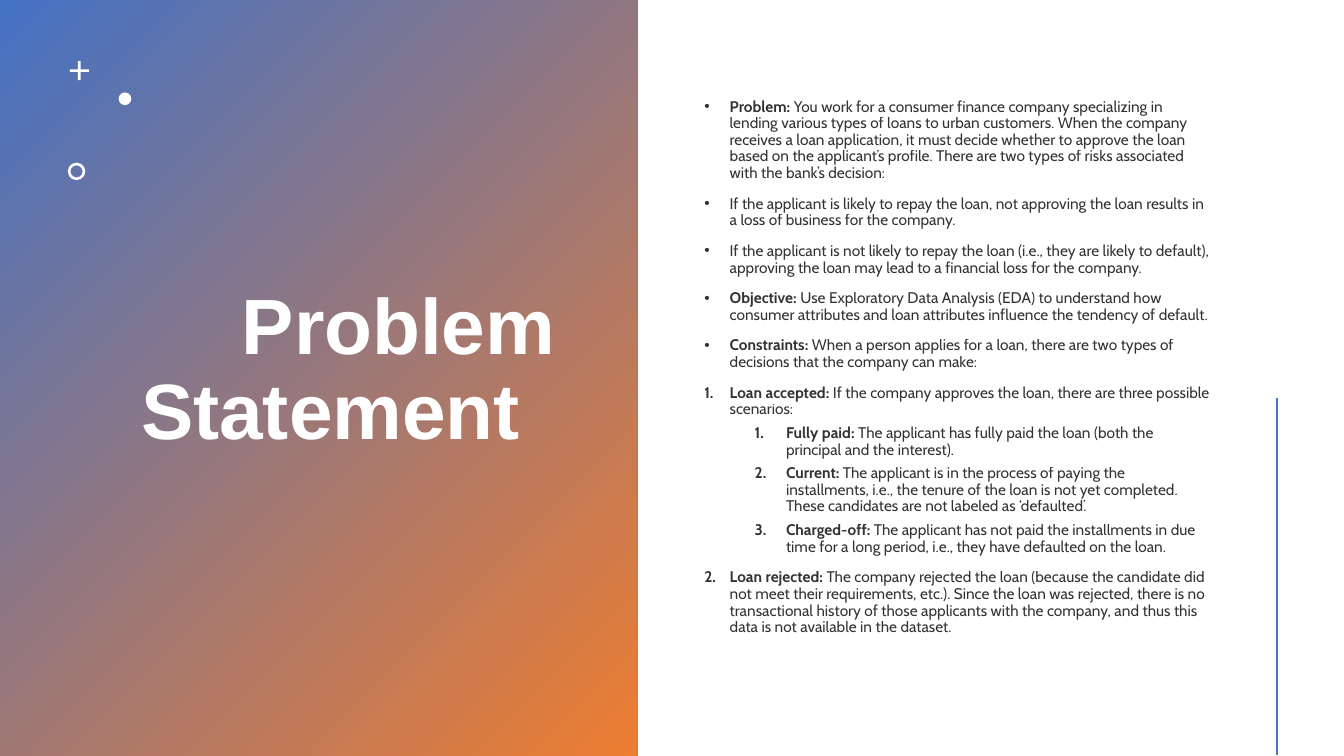
import pptx
import pptx.dml.color
import pptx.enum.shapes
import pptx.enum.text
import pptx.oxml
import pptx.oxml.ns
import pptx.util
from pptx.util import Cm, Pt

SHAPES = pptx.enum.shapes.MSO_SHAPE
NS = pptx.oxml.ns.nsdecls("a")

BLUE, ORANGE, WHITE, BLACK = "4472C4", "ED7D31", "FFFFFF", "000000"

# (kind of paragraph, bold lead, text)
STATEMENT = [
    ("bullet", "Problem:", " You work for a consumer finance company specializing in lending various "
     "types of loans to urban customers. When the company receives a loan application, it must decide "
     "whether to approve the loan based on the applicant’s profile. There are two types of risks "
     "associated with the bank’s decision:"),
    ("bullet", "", "If the applicant is likely to repay the loan, not approving the loan results in "
     "a loss of business for the company."),
    ("bullet", "", "If the applicant is not likely to repay the loan (i.e., they are likely to default), "
     "approving the loan may lead to a financial loss for the company."),
    ("bullet", "Objective:", " Use Exploratory Data Analysis (EDA) to understand how consumer attributes "
     "and loan attributes influence the tendency of default."),
    ("bullet", "Constraints:", " When a person applies for a loan, there are two types of decisions "
     "that the company can make:"),
    ("number", "Loan accepted:", " If the company approves the loan, there are three possible scenarios:"),
    ("subnumber", "Fully paid:", " The applicant has fully paid the loan (both the principal and "
     "the interest)."),
    ("subnumber", "Current:", " The applicant is in the process of paying the installments, i.e., the "
     "tenure of the loan is not yet completed. These candidates are not labeled as ‘defaulted’."),
    ("subnumber", "Charged-off:", " The applicant has not paid the installments in due time for a long "
     "period, i.e., they have defaulted on the loan."),
    ("number", "Loan rejected:", " The company rejected the loan (because the candidate did not meet "
     "their requirements, etc.). Since the loan was rejected, there is no transactional history of those "
     "applicants with the company, and thus this data is not available in the dataset."),
]

BULLET = f'<a:buChar {NS} char="•"/>'
NUMBER = f'<a:buAutoNum {NS} type="arabicPeriod"/>'
# level, left margin (cm), hanging indent (cm), space before (pt), marker
LIST_STYLES = {
    "bullet": (0, 0.64, 0.64, 10, BULLET),
    "number": (0, 0.64, 0.64, 10, NUMBER),
    "subnumber": (1, 2.06, 0.79, 5, NUMBER),
}


def rgb(color):
    return pptx.dml.color.RGBColor.from_string(color)


class Slide:
    title_font, body_font = "Arial", "Cabin"
    title_size, body_size = Pt(56), Pt(11)
    line_spacing = 0.9

    def __init__(self, deck):
        self.slide = deck.slides.add_slide(deck.slide_layouts[5])

    def shape(self, kind, left, top, width, height, color=WHITE):
        shape = self.slide.shapes.add_shape(kind, Cm(left), Cm(top), Cm(width), Cm(height))
        shape.shadow.inherit = False
        shape.fill.solid()
        shape.fill.fore_color.rgb = rgb(color)
        shape.line.fill.background()
        return shape

    def gradient_panel(self, left, top, width, height, colors):
        """Add a diagonal gradient behind everything else."""
        panel = self.shape(SHAPES.RECTANGLE, left, top, width, height)
        panel.fill.gradient()
        panel.fill.gradient_angle = 315
        for stop, color, position in zip(panel.fill.gradient_stops, colors, (0, 1)):
            stop.color.rgb = rgb(color)
            stop.position = position
        self.slide.shapes._spTree.insert(2, panel._element)

    def run(self, paragraph, text, font, size, color, bold):
        run = paragraph.add_run()
        run.text = text
        run.font.name, run.font.size, run.font.bold = font, size, bold
        run.font.color.rgb = rgb(color)
        return run

    def title(self, text, left, top, width, height, first_indent):
        title = self.slide.shapes.title
        title.left, title.top, title.width, title.height = map(Cm, (left, top, width, height))
        frame = title.text_frame
        frame.word_wrap = True
        frame.auto_size = pptx.enum.text.MSO_AUTO_SIZE.NONE
        frame.vertical_anchor = pptx.enum.text.MSO_ANCHOR.MIDDLE
        heading = frame.paragraphs[0]
        heading.alignment = pptx.enum.text.PP_ALIGN.LEFT
        heading.line_spacing = self.line_spacing
        heading._p.get_or_add_pPr().set("indent", str(Cm(first_indent)))
        self.run(heading, text, self.title_font, self.title_size, WHITE, True)

    def outline(self, items, left, top, width, height, bottom_margin):
        """Add a bulleted and numbered list, centred vertically above bottom_margin."""
        box = self.slide.shapes.add_textbox(Cm(left), Cm(top), Cm(width), Cm(height))
        frame = box.text_frame
        frame.word_wrap = True
        frame.vertical_anchor = pptx.enum.text.MSO_ANCHOR.MIDDLE
        frame.margin_bottom = Cm(bottom_margin)
        for index, (kind, lead, text) in enumerate(items):
            item = frame.add_paragraph() if index else frame.paragraphs[0]
            level, margin, hanging, space, marker = LIST_STYLES[kind]
            item.level = level
            item.line_spacing = self.line_spacing
            item.space_before = Pt(space)
            properties = item._p.get_or_add_pPr()
            properties.set("marL", str(Cm(margin)))
            properties.set("indent", str(-Cm(hanging)))
            properties.append(pptx.oxml.parse_xml(f'<a:buFont {NS} typeface="Arial"/>')
                              if marker == BULLET else pptx.oxml.parse_xml(f"<a:buFontTx {NS}/>"))
            properties.append(pptx.oxml.parse_xml(marker))
            for words, bold in ((lead, True), (text, False)):
                if words:
                    run = self.run(item, words, self.body_font, self.body_size, BLACK, bold)
                    ink = run._r.find(".//" + pptx.oxml.ns.qn("a:srgbClr"))
                    ink.append(pptx.oxml.parse_xml(f'<a:alpha {NS} val="80000"/>'))

    def line(self, x1, y1, x2, y2, color, width):
        line = self.slide.shapes.add_connector(
            pptx.enum.shapes.MSO_CONNECTOR.STRAIGHT, Cm(x1), Cm(y1), Cm(x2), Cm(y2))
        line.line.color.rgb = rgb(color)
        line.line.width = Pt(width)
        line._element.spPr.append(pptx.oxml.parse_xml(f"<a:effectLst {NS}/>"))


def main():
    deck = pptx.Presentation()
    deck.slide_width, deck.slide_height = Cm(33.87), Cm(19.05)
    page = Slide(deck)
    page.gradient_panel(0, 0, 16.06, 19.05, (BLUE, ORANGE))
    page.title("Problem Statement", 3.3, 1.07, 11.13, 16.59, first_indent=2.54)

    plus = page.shape(SHAPES.CROSS, 1.76, 1.54, 0.48, 0.48)
    plus.adjustments[0] = 0.43
    page.shape(SHAPES.OVAL, 2.99, 2.33, 0.32, 0.32)
    ring = page.shape(SHAPES.DONUT, 1.71, 4.1, 0.44, 0.44)
    ring.adjustments[0] = 0.15

    page.outline(STATEMENT, 17.5, 1.45, 13.26, 16.21, bottom_margin=0.72)
    page.line(32.18, 10.02, 32.18, 19.03, BLUE, 2)
    deck.save("out.pptx")


if __name__ == "__main__":
    main()
